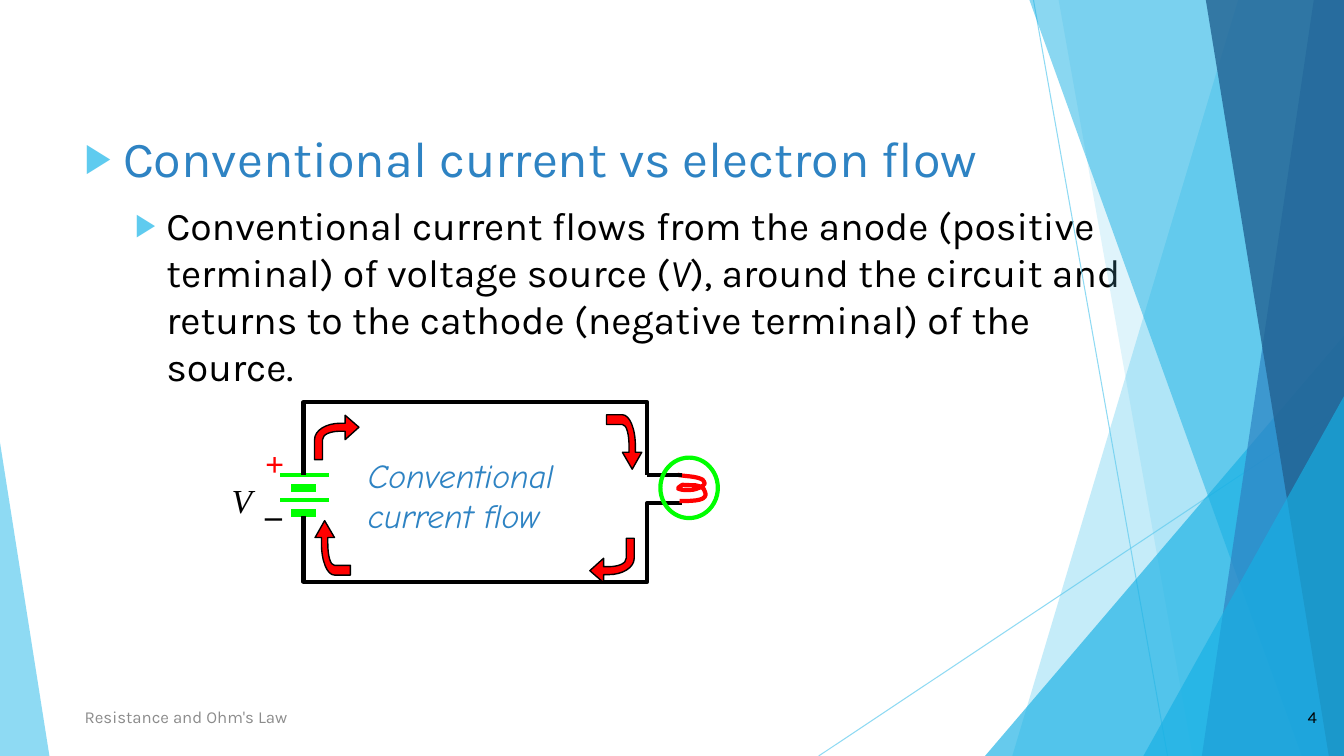
from lxml.etree import SubElement
from pptx import Presentation
from pptx.dml.color import RGBColor
from pptx.enum.shapes import MSO_CONNECTOR, MSO_SHAPE
from pptx.enum.text import MSO_ANCHOR, PP_ALIGN
from pptx.oxml.ns import qn
from pptx.util import Inches, Pt

COLS, ROWS = 13.33, 7.5  # slide grid: one cell is one inch
C = {"sky": "5FCBEF", "cyan": "17B0E4", "blue": "2E83C3", "navy": "226292",
     "green": "00FF00", "red": "FF0000", "black": "000000", "grey": "8C8C8C"}

# Bent arrow on a unit square: stem at bottom left, head at right
BENT_ARROW = [(1, .27), (.69, 0), (.69, .18), (.58, .18),
              (.26, .18, 0, .34, 0, .55), (0, 1), (.18, 1), (.18, .55),
              (.18, .43, .36, .36, .58, .36), (.69, .36), (.69, .55)]
FILAMENT = [(6.72, 4.71), (6.8, 4.73, 6.9, 4.72, 6.97, 4.76),
            (6.98, 4.77, 6.99, 4.79, 6.99, 4.8),
            (6.97, 4.83, 6.92, 4.85, 6.87, 4.86),
            (6.83, 4.86, 6.78, 4.87, 6.73, 4.85),
            (6.71, 4.85, 6.75, 4.82, 6.77, 4.81),
            (6.9, 4.82, 6.91, 4.8, 6.98, 4.85),
            (6.99, 4.88, 7.01, 4.9, 6.99, 4.93),
            (6.96, 4.98, 6.76, 4.97, 6.74, 4.97)]


def cells(*values):
    return [Inches(v) for v in values]


def paint(fmt, color, alpha=None):
    """Make a fill solid, with an opacity in percent."""
    fmt.solid()
    fmt.fore_color.rgb = RGBColor.from_string(C[color])
    if alpha:
        clr = fmt._xPr.find(qn("a:solidFill"))[0]
        SubElement(clr, qn("a:alpha"), val=str(alpha * 1000))


def style(sp, fill=None, line=None, width=3, alpha=None):
    sp.shadow.inherit = False
    if fill:
        paint(sp.fill, fill, alpha)
    else:
        sp.fill.background()
    if line:
        paint(sp.line.fill, line)
        sp.line.width = Pt(width)
    else:
        sp.line.fill.background()
    return sp


def add_line(slide, x1, y1, x2, y2, color, width, alpha=None):
    ln = slide.shapes.add_connector(MSO_CONNECTOR.STRAIGHT,
                                    *cells(x1, y1, x2, y2))
    paint(ln.line.fill, color, alpha)
    ln.line.width = Pt(width)
    SubElement(ln._element.spPr, qn("a:effectLst"))


def add_preset(slide, kind, box, adj=None, **look):
    sp = slide.shapes.add_shape(kind, *cells(*box))
    if adj is not None:
        sp.adjustments[0] = adj
    return style(sp, **look)


def add_outline(slide, steps, close=False, **look):
    """Draw steps: a pair is a corner, six numbers are a Bezier curve."""
    points = [cells(*s[i:i + 2]) for s in steps for i in range(0, len(s), 2)]
    builder = slide.shapes.build_freeform(*points[0], scale=1.0)
    builder.add_line_segments(points[1:], close=close)
    sp = builder.convert_to_shape()
    lines = list(sp._element.iter(qn("a:lnTo")))
    for step in steps[1:]:
        first = lines.pop(0)
        if len(step) == 6:
            first.tag  # the first of three points becomes the curve
            curve = first.getparent().makeelement(qn("a:cubicBezTo"))
            first.addprevious(curve)
            for node in (first, lines.pop(0), lines.pop(0)):
                curve.append(node[0])
                node.getparent().remove(node)
    return style(sp, **look)


def add_bent_arrow(slide, x, y, w, h, turn):
    steps = [tuple(v * w + x if i % 2 == 0 else v * h + y
                   for i, v in enumerate(s)) for s in BENT_ARROW]
    sp = add_outline(slide, steps, close=True, fill="red", line="black",
                     width=1)
    sp.rotation = turn


def write(p, text, size, font="Karla", color="black", bold=False,
          italic=False):
    r = p.add_run()
    r.text = text
    r.font.size, r.font.name = Pt(size), font
    r.font.bold, r.font.italic = bold, italic
    r.font.color.rgb = RGBColor.from_string(C[color])


def add_label(slide, box, lines, anchor=MSO_ANCHOR.TOP, align=PP_ALIGN.LEFT,
              **fmt):
    """Add a text box; each line is a (text, color) pair."""
    tf = slide.shapes.add_textbox(*cells(*box)).text_frame
    tf.word_wrap, tf.vertical_anchor = True, anchor
    for i, (text, color) in enumerate(lines):
        p = tf.add_paragraph() if i else tf.paragraphs[0]
        p.alignment = align
        write(p, text, color=color, **fmt)


def set_bullet(p, left, hang, before):
    pPr = p._p.get_or_add_pPr()
    pPr.set("marL", str(Inches(left)))
    pPr.set("indent", str(-Inches(hang)))
    SubElement(SubElement(pPr, qn("a:buClr")), qn("a:srgbClr"), val=C["sky"])
    SubElement(pPr, qn("a:buSzPct"), val="80000")
    SubElement(pPr, qn("a:buChar"), char="▶")
    p.space_before = Pt(before)


def add_backdrop(slide):
    add_line(slide, 10.25, 0, 11.58, ROWS, "sky", .75, 70)
    add_line(slide, COLS, 4.03, 8.12, ROWS, "sky", .75, 70)

    def band(top, bottom, color, alpha):
        add_outline(slide, [(top, 0), (COLS, 0), (COLS, ROWS), (bottom, ROWS)],
                    close=True, fill=color, alpha=alpha)

    def wedge(x, y, w, adj, color, alpha):
        add_preset(slide, MSO_SHAPE.ISOSCELES_TRIANGLE, (x, y, w, ROWS - y),
                   adj, fill=color, alpha=alpha)

    band(12.28, 10.04, "sky", 36)
    band(10.5, 11.83, "sky", 20)
    wedge(9.77, 3.33, 3.56, 1, "cyan", 66)
    band(10.21, 12.91, "cyan", 50)
    band(13.03, 11.92, "blue", 70)
    band(11.96, 13.18, "navy", 80)
    wedge(11.34, 3.93, 1.99, 1, "cyan", 66)
    wedge(0, 4.39, .49, 0, "sky", 70)


def add_body(slide):
    slide.shapes.title._element.getparent().remove(slide.shapes.title._element)
    body = slide.placeholders[1]
    body.left, body.top, body.width, body.height = cells(.74, 1.21, 10.79, 2.53)
    tf = body.text_frame
    p = tf.paragraphs[0]
    set_bullet(p, .38, .38, 0)
    write(p, "Conventional current vs electron flow", 36, color="blue")
    p = tf.add_paragraph()
    p.level = 1
    set_bullet(p, .81, .31, 10)
    write(p, "Conventional current flows from the anode (positive terminal) "
             "of voltage source (", 28)
    write(p, "V", 28, italic=True)
    write(p, "), around the circuit and returns to the cathode (negative "
             "terminal) of the source.", 28)


def add_circuit(slide):
    left, mid, right, lead = 3.01, 5.13, 6.42, 6.76
    top, plus, minus, bottom = 3.99, 4.71, 5.12, 5.77
    for y in (plus, 4.96):  # battery: long thin plate over short thick one
        add_line(slide, 3.26, y, 2.78, y, "green", 3)
        add_line(slide, 3.13, y + .13, 2.89, y + .13, "green", 6)
    for wire in ([(left, plus), (left, top), (mid, top)],
                 [(mid, top), (right, top), (right, plus)],
                 [(lead, 4.99), (right, 4.99), (right, bottom),
                  (left, bottom), (left, minus)]):
        add_outline(slide, wire, line="black")
    add_outline(slide, FILAMENT, line="red")
    add_line(slide, right, plus, lead, plus, "black", 3)
    add_preset(slide, MSO_SHAPE.OVAL, (6.55, 4.54, .57, .6), line="green")
    serif = {"size": 24, "font": "Times New Roman"}
    add_label(slide, (2.2, 4.71, .41, .5), [("V", "black")], italic=True,
              **serif)
    add_label(slide, (2.53, 4.34, .39, .91), [("+", "red"), ("_", "black")],
              bold=True, **serif)
    for x, y, w, h, turn in ((3.12, 4.12, .44, .44, 0),
                             (5.85, 5.34, .44, .44, 180),
                             (5.92, 4.21, .54, .35, 90),
                             (3.03, 5.26, .54, .35, 270)):
        add_bent_arrow(slide, x, y, w, h, turn)
    add_label(slide, (3.55, 4.46, 2.27, .95),
              [("Conventional", "blue"), ("current flow", "blue")],
              size=24, font="Comic Neue", italic=True)


def main():
    prs = Presentation()
    prs.slide_width, prs.slide_height = cells(COLS, ROWS)
    slide = prs.slides.add_slide(prs.slide_layouts[1])
    add_backdrop(slide)
    add_body(slide)
    add_circuit(slide)
    add_label(slide, (12.41, 6.91, .75, .4), [("4", "black")],
              MSO_ANCHOR.MIDDLE, PP_ALIGN.RIGHT, size=12)
    add_label(slide, (.74, 6.91, 6.89, .4),
              [("Resistance and Ohm's Law", "grey")], MSO_ANCHOR.MIDDLE,
              size=12)
    prs.save("out.pptx")


if __name__ == "__main__":
    main()
